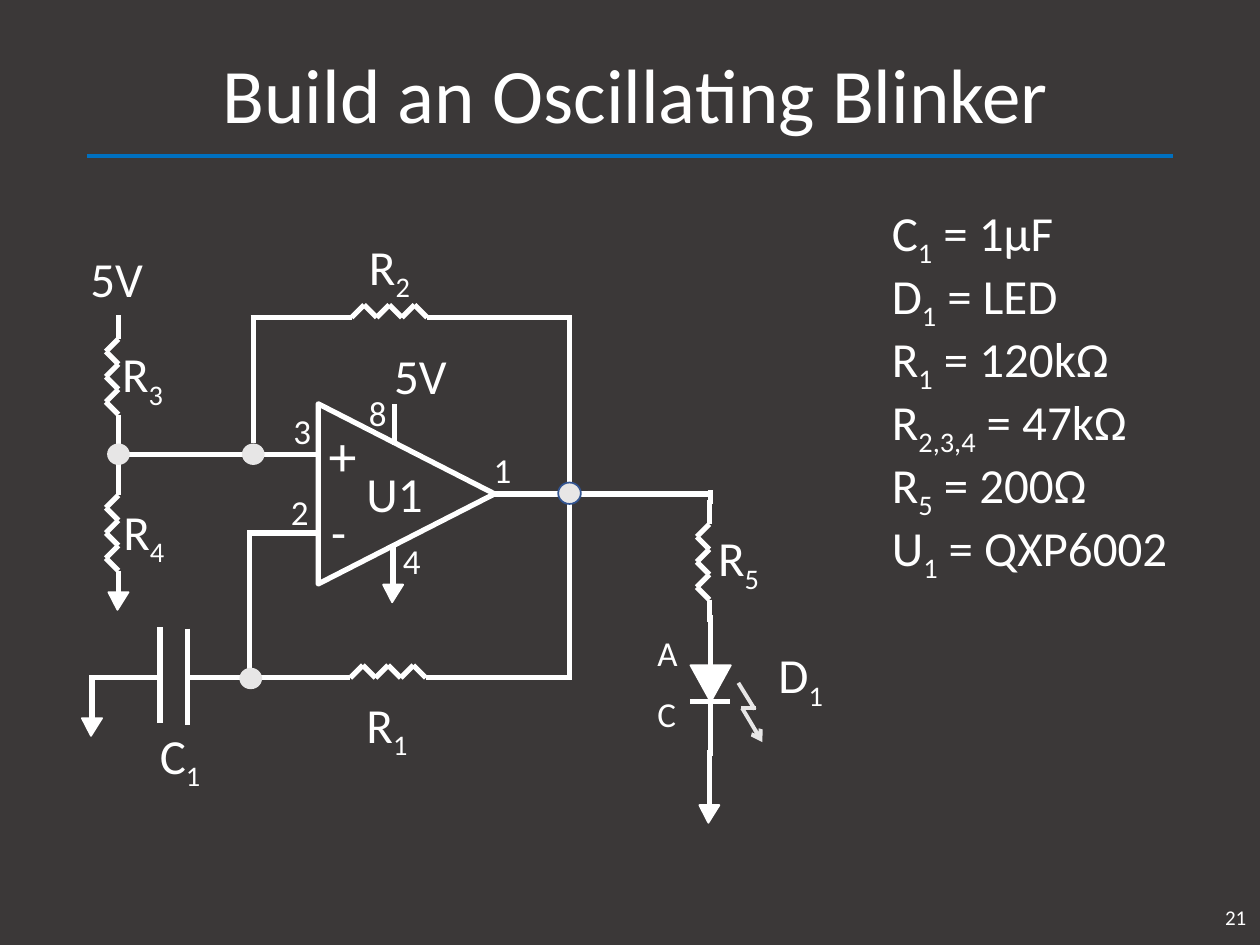
"""Build the oscillating blinker circuit slide."""
import pptx
import pptx.dml.color
import pptx.enum.shapes
import pptx.enum.text
import pptx.oxml
import pptx.oxml.ns
import pptx.util

Inches, Pt = pptx.util.Inches, pptx.util.Pt
RGBColor = pptx.dml.color.RGBColor
SHAPE = pptx.enum.shapes.MSO_SHAPE
ALIGN = pptx.enum.text.PP_ALIGN
ANCHOR = pptx.enum.text.MSO_ANCHOR
AUTO = pptx.enum.text.MSO_AUTO_SIZE

BACKGROUND = RGBColor(0x3B, 0x38, 0x38)
WHITE = RGBColor(0xFF, 0xFF, 0xFF)
RULE = RGBColor(0x00, 0x70, 0xC0)
GRAY = RGBColor(0xE7, 0xE6, 0xE6)
OUTLINE = RGBColor(0x32, 0x54, 0x91)

TITLE = "Build an Oscillating Blinker"
PARTS = [("C", "1", "1µF"), ("D", "1", "LED"), ("R", "1", "120kΩ"),
         ("R", "2,3,4", "47kΩ"), ("R", "5", "200Ω"), ("U", "1", "QXP6002")]
PART_LEFT, PART_TOP, PART_STEP, PART_WIDTH = 6.98, 1.56, 0.5, 2.72
HEIGHTS = {20: 0.44, 28: 0.57, 32: 0.64}
LABELS = [
    ("5V", "", 0.62, 1.92, 0.67, 28), ("5V", "", 3.03, 2.69, 0.67, 28),
    ("R", "1", 2.81, 5.46, 0.82, 28), ("R", "2", 2.83, 1.83, 0.82, 28),
    ("R", "3", 0.87, 2.68, 0.82, 28), ("R", "4", 0.88, 3.93, 0.82, 28),
    ("R", "5", 5.6, 4.14, 0.82, 28), ("C", "1", 1.17, 5.71, 0.67, 28),
    ("D", "1", 6.08, 5.07, 0.87, 28), ("U1", "", 2.81, 3.63, 0.69, 28),
    ("+", "", 2.51, 3.29, 0.3, 32), ("-", "", 2.53, 3.93, 0.3, 28),
    ("1", "", 3.82, 3.51, 0.34, 20), ("2", "", 2.21, 3.84, 0.34, 20),
    ("3", "", 2.23, 3.2, 0.34, 20), ("4", "", 3.1, 4.23, 0.34, 20),
    ("8", "", 2.83, 3.06, 0.34, 20), ("A", "", 5.12, 4.96, 0.3, 20),
    ("C", "", 5.12, 5.45, 0.3, 20),
]
WIRES = [
    (0.94, 3.47, 0.94, 3.82), (0.94, 3.61, 2.54, 3.61), (2.01, 2.52, 2.01, 3.52),
    (1.99, 2.52, 2.66, 2.52), (3.53, 2.52, 4.52, 2.52), (4.52, 2.5, 4.52, 3.83),
    (4.52, 4, 4.52, 5.39), (3.54, 5.38, 4.54, 5.38), (1.98, 5.38, 2.65, 5.38),
    (1.98, 5.38, 1.98, 4.21), (1.98, 4.23, 2.53, 4.23), (3.89, 3.92, 5.63, 3.92),
    (5.64, 3.89, 5.64, 4), (5.63, 5.95, 5.63, 6.4), (3.13, 3.21, 3.13, 3.53),
    (3.12, 4.33, 3.12, 4.65), (0.73, 5.39, 0.73, 5.72),
]
CAPACITOR = [(2.08, 5.38, 1.5, 5.38), (1.49, 4.99, 1.49, 5.75),
             (1.29, 5.38, 0.71, 5.38), (1.27, 4.98, 1.27, 5.74)]
DIODE = [(5.64, 4.88, 5.64, 6), (5.48, 5.57, 5.79, 5.57)]
LIGHT = [(5.86, 5.42, 5.99, 5.63), (6, 5.62, 5.88, 5.62), (5.89, 5.62, 6.05, 5.89)]
RESISTORS = [(0.94, 2.5, True), (0.94, 3.74, True), (5.63, 3.97, True),
             (2.59, 5.38, False), (2.6, 2.52, False)]
LEAD, ZIG, LENGTH = 0.19, 0.1, 0.97
GROUNDS = [(3.04, 4.64), (0.65, 5.7), (0.86, 4.7), (5.55, 6.39)]
NODES = [(0.85, 3.52, None), (1.92, 3.52, None), (1.9, 5.3, None), (4.43, 3.83, OUTLINE)]


def add_line(shapes, ends, color=WHITE, width=3, arrow=False):
    c = shapes.add_connector(pptx.enum.shapes.MSO_CONNECTOR.STRAIGHT,
                             *[Inches(v) for v in ends])
    c.line.color.rgb = color
    c.line.width = Pt(width)
    pr = c.line._get_or_add_ln()
    if arrow:
        pptx.oxml.ns.qn("a:tailEnd")
        pr.append(pptx.oxml.parse_xml(
            f'<a:tailEnd {pptx.oxml.ns.nsdecls("a")} type="arrow"/>'))
    c._element.spPr.append(pptx.oxml.parse_xml(
        f'<a:effectLst {pptx.oxml.ns.nsdecls("a")}/>'))


def add_group(s, lines, **style):
    group = s.shapes.add_group_shape()
    for ends in lines:
        add_line(group.shapes, ends, **style)
    return group


def add_resistor(s, x, y, vertical):
    steps = [0] + [LEAD + ZIG * i for i in range(7)] + [LENGTH]
    peaks = [ZIG if i in (2, 4, 6) else 0 for i in range(len(steps))]
    points = [(x - d, y + t) if vertical else (x + t, y - d)
              for t, d in zip(steps, peaks)]
    add_group(s, [a + b for a, b in zip(points, points[1:])])


def add_solid(shapes, kind, box, fill=None, line=None, width=1, rotation=0):
    sp = shapes.add_shape(kind, *[Inches(v) for v in box])
    sp.shadow.inherit = False
    sp.rotation = rotation
    if fill is None:
        sp.fill.background()
    else:
        sp.fill.solid()
        sp.fill.fore_color.rgb = fill
    if line is None:
        sp.line.fill.background()
    else:
        sp.line.color.rgb = line
        sp.line.width = Pt(width)
    return sp


def format_paragraph(p, size, align):
    p.alignment = align
    p.font.size = Pt(size)
    p.font.name = "Calibri"
    p.font.color.rgb = WHITE


def add_text(s, runs, box, size, align=ALIGN.LEFT):
    tf = s.shapes.add_textbox(*[Inches(v) for v in box]).text_frame
    tf.word_wrap = True
    p = tf.paragraphs[0]
    format_paragraph(p, size, align)
    for text, subscript in runs:
        if text:
            r = p.add_run()
            r.text = text
            if subscript:
                r.font._element.set("baseline", "-25000")
    return tf


def add_label(s, name, sub, rest, x, y, w, size):
    tf = add_text(s, [(name, False), (sub, True), (rest, False)],
                  (x, y, w, HEIGHTS[size]), size)
    tf.auto_size = AUTO.SHAPE_TO_FIT_TEXT


def main():
    prs = pptx.Presentation()
    prs.slide_width, prs.slide_height = Inches(10), Inches(7.5)
    s = prs.slides.add_slide(prs.slide_layouts[5])
    s.background.fill.solid()
    s.background.fill.fore_color.rgb = BACKGROUND

    title = s.shapes.title
    title.left, title.top, title.width, title.height = [
        Inches(v) for v in (0.51, 0.24, 9.07, 1.09)]
    title.text_frame.text = TITLE
    title.text_frame.vertical_anchor = ANCHOR.MIDDLE
    p = title.text_frame.paragraphs[0]
    format_paragraph(p, 44, ALIGN.CENTER)
    p.line_spacing = 0.9
    add_line(s.shapes, (0.69, 1.24, 9.31, 1.24), RULE, 2.25)
    number = add_text(s, [("21", False)], (7.74, 7.08, 2.25, 0.4), 12, ALIGN.RIGHT)
    number.vertical_anchor = ANCHOR.MIDDLE

    for ends in WIRES:
        add_line(s.shapes, ends)
    for resistor in RESISTORS:
        add_resistor(s, *resistor)
    add_group(s, CAPACITOR)
    diode = add_group(s, DIODE)
    add_solid(diode.shapes, SHAPE.ISOSCELES_TRIANGLE, (5.48, 5.28, 0.32, 0.29),
              WHITE, WHITE, rotation=180)
    light = add_group(s, LIGHT[:2], color=GRAY, width=2.25)
    add_line(light.shapes, LIGHT[2], GRAY, 2.25, arrow=True)
    add_solid(s.shapes, SHAPE.ISOSCELES_TRIANGLE, (2.51, 3.22, 1.43, 1.4),
              line=WHITE, width=3, rotation=90)
    for x, y in GROUNDS:
        sp = add_solid(s.shapes, SHAPE.ISOSCELES_TRIANGLE, (x, y, 0.16, 0.14),
                       WHITE, WHITE, rotation=180)
        sp.adjustments[0] = 0.55
    for x, y, line in NODES:
        add_solid(s.shapes, SHAPE.OVAL, (x, y, 0.18, 0.17), GRAY, line)

    for name, sub, x, y, w, size in LABELS:
        add_label(s, name, sub, "", x, y, w, size)
    for i, (name, sub, value) in enumerate(PARTS):
        add_label(s, name, sub, f" = {value}", PART_LEFT,
                  PART_TOP + PART_STEP * i, PART_WIDTH, 28)
    prs.save("out.pptx")


if __name__ == "__main__":
    main()
